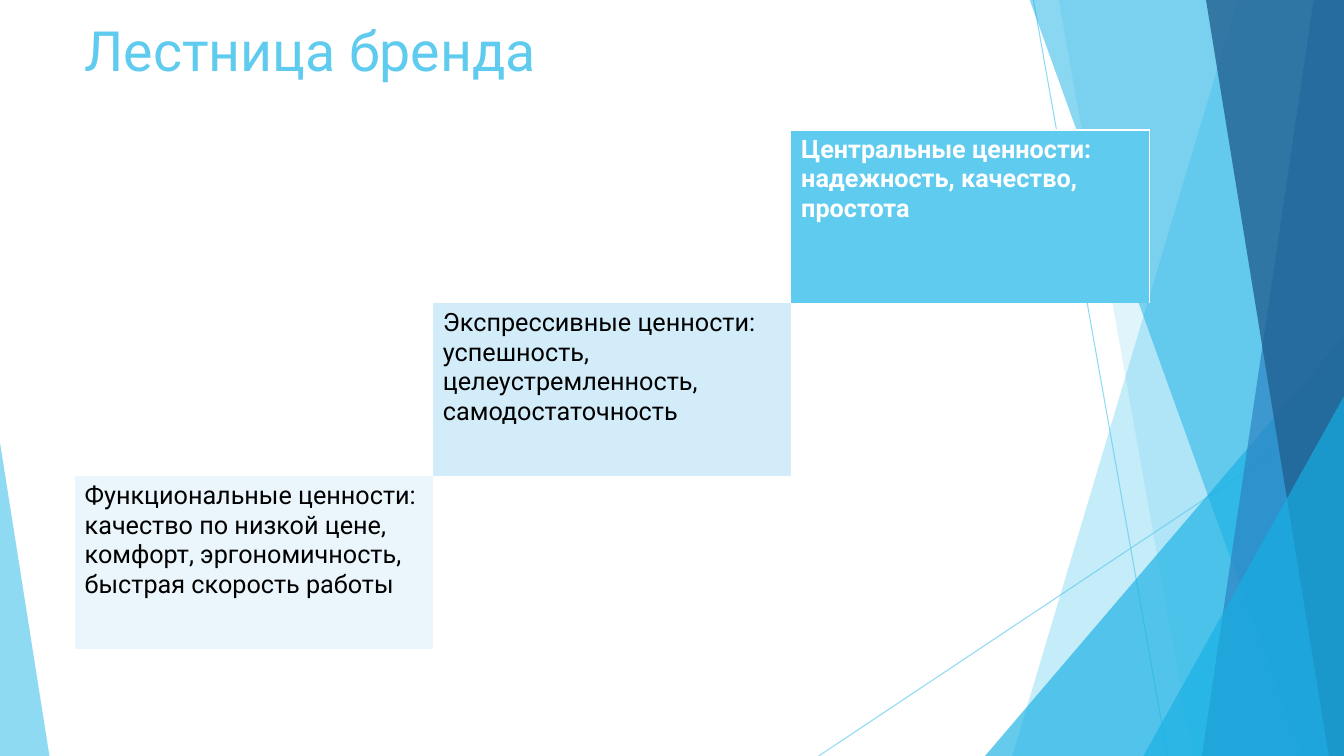
from dataclasses import dataclass

from lxml import etree
from pptx import Presentation
from pptx import util as u
from pptx.dml.color import RGBColor
from pptx.enum import shapes, text
from pptx.oxml.ns import qn


@dataclass(frozen=True)
class Theme:
    """Colours, font and type sizes."""
    sky: str = "5FCBEF"
    cyan: str = "17B0E4"
    blue: str = "2E83C3"
    navy: str = "226292"
    pale: str = "D2ECF9"
    mist: str = "EAF6FC"
    white: str = "FFFFFF"
    black: str = "000000"
    font: str = "Roboto"
    head: float = 39.6
    body: float = 18


T = Theme()
WIDE, HIGH = 13.33, 7.5
STEPS = [
    ("Функциональные ценности: качество по низкой цене, комфорт, эргономичность, быстрая скорость работы",
     T.mist, T.black, False, "LB"),
    ("Экспрессивные ценности: успешность, целеустремленность, самодостаточность",
     T.pale, T.black, False, ""),
    ("Центральные ценности: надежность, качество, простота",
     T.sky, T.white, True, "RT"),
]


def tint(fill, color, alpha):
    """Fill with a colour at the given percent of opacity."""
    fill.solid()
    fill.fore_color.rgb = RGBColor.from_string(color)
    for clr in fill._xPr.iter(qn("a:srgbClr")):
        etree.SubElement(clr, qn("a:alpha"), val=str(alpha * 1000))


def style(run, size, color, bold=False):
    """Set the font of a run."""
    run.font.name = T.font
    run.font.size = u.Pt(size)
    run.font.bold = bold
    run.font.color.rgb = RGBColor.from_string(color)


def ray(slide, start, end):
    """Draw a thin translucent line."""
    line = slide.shapes.add_connector(
        shapes.MSO_CONNECTOR.STRAIGHT, *map(u.Inches, start + end))
    line.line.width = u.Pt(0.75)
    tint(line.line.fill, T.sky, 70)
    etree.SubElement(line._element.spPr, qn("a:effectLst"))


def plain(shape, color, alpha):
    """Give a facet its tint, with no outline or shadow."""
    shape.shadow.inherit = False
    shape.line.fill.background()
    tint(shape.fill, color, alpha)


def band(slide, top, foot, color, alpha):
    """Draw a facet from a slanted left edge to the right side."""
    pts = [(top, -0.01), (WIDE, -0.01), (WIDE, HIGH), (foot, HIGH)]
    pts = [(u.Inches(x), u.Inches(y)) for x, y in pts]
    pen = slide.shapes.build_freeform(*pts[0])
    pen.add_line_segments(pts[1:], close=True)
    plain(pen.convert_to_shape(), color, alpha)


def wedge(slide, left, top, width, apex, color, alpha):
    """Draw a triangle that stands on the foot of the slide."""
    shape = slide.shapes.add_shape(
        shapes.MSO_SHAPE.ISOSCELES_TRIANGLE,
        *map(u.Inches, (left, top, width, HIGH - top)))
    shape.adjustments[0] = apex
    plain(shape, color, alpha)


def decor(slide):
    """Lay the facets behind the content."""
    ray(slide, (10.25, 0), (11.58, HIGH))
    ray(slide, (WIDE, 4.03), (8.12, HIGH))
    band(slide, 12.28, 10.04, T.sky, 36)
    band(slide, 10.5, 11.83, T.sky, 20)
    wedge(slide, 9.77, 3.33, 3.56, 1, T.cyan, 66)
    band(slide, 10.21, 12.91, T.cyan, 50)
    band(slide, 13.03, 11.92, T.blue, 70)
    band(slide, 11.96, 13.18, T.navy, 80)
    wedge(slide, 11.34, 3.93, 1.99, 1, T.cyan, 66)
    wedge(slide, 0, 4.39, 0.49, 0, T.sky, 70)


def title(slide, box, words):
    """Place the slide title in its box."""
    frame = slide.shapes.add_textbox(*map(u.Inches, box)).text_frame
    frame.word_wrap = True
    frame.vertical_anchor = text.MSO_ANCHOR.MIDDLE
    frame.text = words
    style(frame.paragraphs[0].runs[0], T.head, T.sky)


def edge(cell, sides):
    """Draw white borders on the named sides and clear the others."""
    props = cell._tc.get_or_add_tcPr()
    for i, side in enumerate("LRTB"):
        line = etree.Element(qn("a:ln" + side), w=str(u.Pt(1)))
        if side in sides:
            fill = etree.SubElement(line, qn("a:solidFill"))
            etree.SubElement(fill, qn("a:srgbClr"), val=T.white)
        else:
            etree.SubElement(line, qn("a:noFill"))
        props.insert(i, line)


def stairs(slide, box, steps):
    """Build a square table whose diagonal cells climb to the right."""
    n = len(steps)
    table = slide.shapes.add_table(n, n, *map(u.Inches, box)).table
    table.first_row = table.horz_banding = False
    for cell in table.iter_cells():
        cell.fill.background()
    for i, (words, color, ink, bold, sides) in enumerate(steps):
        cell = table.cell(n - 1 - i, i)
        cell.text = words
        style(cell.text_frame.paragraphs[0].runs[0], T.body, ink, bold)
        cell.fill.solid()
        cell.fill.fore_color.rgb = RGBColor.from_string(color)
        edge(cell, sides)
        for j in range(n):
            if j != i:
                edge(table.cell(n - 1 - i, j), "")


def main():
    """Build and save the slide."""
    deck = Presentation()
    deck.slide_width, deck.slide_height = u.Inches(WIDE), u.Inches(HIGH)
    slide = deck.slides.add_slide(deck.slide_layouts[6])
    decor(slide)
    title(slide, (0.74, 0.12, 9.4, 0.73), "Лестница бренда")
    stairs(slide, (0.74, 1.29, 10.66, 5.15), STEPS)
    deck.save("out.pptx")


if __name__ == "__main__":
    main()
